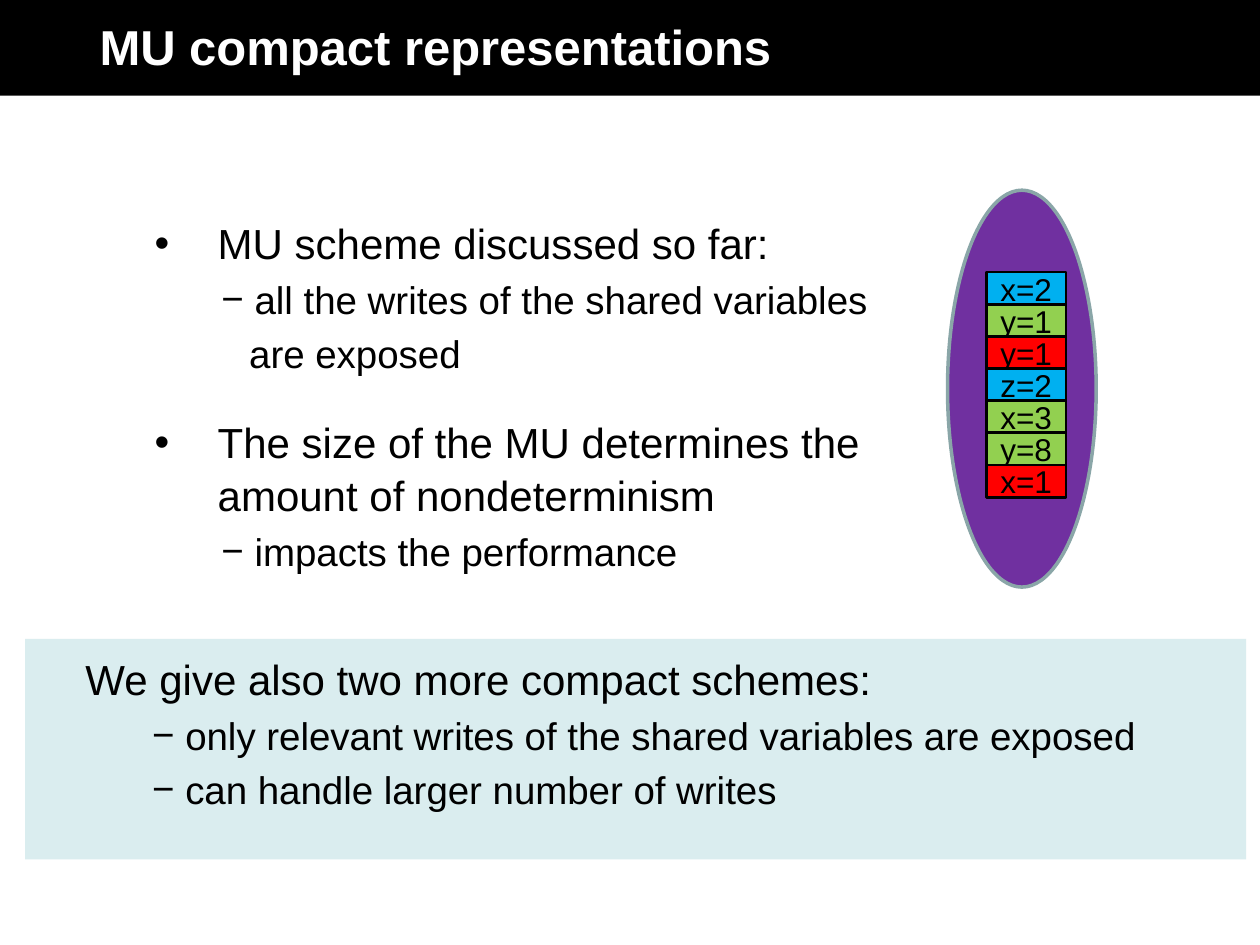
from lxml import etree
from pptx import Presentation
from pptx.dml.color import RGBColor
from pptx.enum.shapes import MSO_SHAPE
from pptx.enum.text import MSO_ANCHOR, PP_ALIGN
from pptx.oxml.ns import qn
from pptx.util import Inches, Pt

RECTANGLE, OVAL = MSO_SHAPE.RECTANGLE, MSO_SHAPE.OVAL
TOP, MIDDLE = MSO_ANCHOR.TOP, MSO_ANCHOR.MIDDLE
LEFT, CENTER = PP_ALIGN.LEFT, PP_ALIGN.CENTER

BLACK = RGBColor(0x00, 0x00, 0x00)
WHITE = RGBColor(0xFF, 0xFF, 0xFF)
PALE_TEAL = RGBColor(0xDA, 0xED, 0xEF)
PURPLE = RGBColor(0x70, 0x30, 0xA0)
GRAY_TEAL = RGBColor(0x8A, 0xA6, 0xA8)
BLUE = RGBColor(0x00, 0xB0, 0xF0)
GREEN = RGBColor(0x92, 0xD0, 0x50)
RED = RGBColor(0xFF, 0x00, 0x00)
FONT = "Arial"

# Content
TITLE = "MU compact representations"
POINTS = [
    ("point", "MU scheme discussed so far:"),
    ("dash", " all the writes of the shared variables"),
    ("continued", "are exposed"),
    ("next point", "The size of the MU determines the amount of nondeterminism"),
    ("dash", " impacts the performance"),
]
SCHEMES = [
    ("lead", "We give also two more compact schemes:"),
    ("dash", " only relevant writes of the shared variables are exposed"),
    ("dash", " can handle larger number of writes"),
]
WRITES = [("x=2", BLUE), ("y=1", GREEN), ("y=1", RED), ("z=2", BLUE),
          ("x=3", GREEN), ("y=8", GREEN), ("x=1", RED)]

# Paragraph formats
POINT = dict(size=24, margin=0.88, indent=-0.5, before=3.6, bullet="•")
STYLES = {
    "point": POINT,
    "next point": {**POINT, "before": 21.7},
    "lead": dict(size=24, margin=0.38, before=3.6),
    "dash": dict(size=22, margin=0.88, indent=0.03, before=3.2, bullet="−", level=1),
    "continued": dict(size=22, margin=1.13, before=3.2, level=1),
}


def write(paragraph, text, size, color=BLACK, bold=False, align=LEFT, margin=0,
          indent=0, before=0, bullet=None, level=0, spacing=None):
    paragraph.alignment = align
    paragraph.level = level
    paragraph.space_before = Pt(before)
    if spacing:
        paragraph.line_spacing = spacing
    run = paragraph.add_run()
    run.text = text
    run.font.name = FONT
    run.font.size = Pt(size)
    run.font.bold = bold
    run.font.color.rgb = color
    properties = paragraph._p.get_or_add_pPr()
    properties.set("marL", str(Inches(margin)))
    properties.set("indent", str(Inches(indent)))
    if bullet:
        font = etree.SubElement(properties, qn("a:buFont"))
        font.set("typeface", FONT)
        etree.SubElement(properties, qn("a:buChar")).set("char", bullet)
    else:
        etree.SubElement(properties, qn("a:buNone"))


def set_frame(shape, anchor=TOP, left=0.1):
    frame = shape.text_frame
    frame.word_wrap = True
    frame.vertical_anchor = anchor
    frame.margin_left = Inches(left)
    frame.margin_top = frame.margin_right = frame.margin_bottom = Inches(0.1)
    return frame


def write_list(shape, items):
    frame = set_frame(shape)
    for index, (style, text) in enumerate(items):
        paragraph = frame.add_paragraph() if index else frame.paragraphs[0]
        write(paragraph, text, spacing=1.05, **STYLES[style])


def add_block(slide, kind, box, fill, line=None, width=0):
    shape = slide.shapes.add_shape(kind, *map(Inches, box))
    shape.shadow.inherit = False
    shape.fill.solid()
    shape.fill.fore_color.rgb = fill
    if line is None:
        shape.line.fill.background()
    else:
        shape.line.color.rgb = line
        shape.line.width = Pt(width)
    return shape


def main():
    presentation = Presentation()
    presentation.slide_width, presentation.slide_height = Inches(10), Inches(7.5)
    slide = presentation.slides.add_slide(presentation.slide_layouts[5])

    # Title bar
    title = slide.shapes.title
    title.left, title.top = Inches(0), Inches(-0.03)
    title.width, title.height = Inches(10), Inches(0.79)
    title.fill.solid()
    title.fill.fore_color.rgb = BLACK
    frame = set_frame(title, MIDDLE, left=0.79)
    write(frame.paragraphs[0], TITLE, 28, color=WHITE, bold=True)

    # Discussion points and compact schemes
    points = slide.shapes.add_textbox(*map(Inches, (0.75, 1.61, 6.3, 3.09)))
    write_list(points, POINTS)
    schemes = add_block(slide, RECTANGLE, (0.2, 5.07, 9.69, 1.75), PALE_TEAL)
    write_list(schemes, SCHEMES)

    # Memory unit with its stack of writes
    add_block(slide, OVAL, (7.52, 1.51, 1.18, 3.15), PURPLE, GRAY_TEAL, 2)
    for row, (text, fill) in enumerate(WRITES):
        box = (7.83, 2.16 + 0.255 * row, 0.63, 0.26)
        cell = add_block(slide, RECTANGLE, box, fill, BLACK, 1.5)
        write(set_frame(cell, MIDDLE).paragraphs[0], text, 18, align=CENTER)

    presentation.save("out.pptx")


if __name__ == "__main__":
    main()
